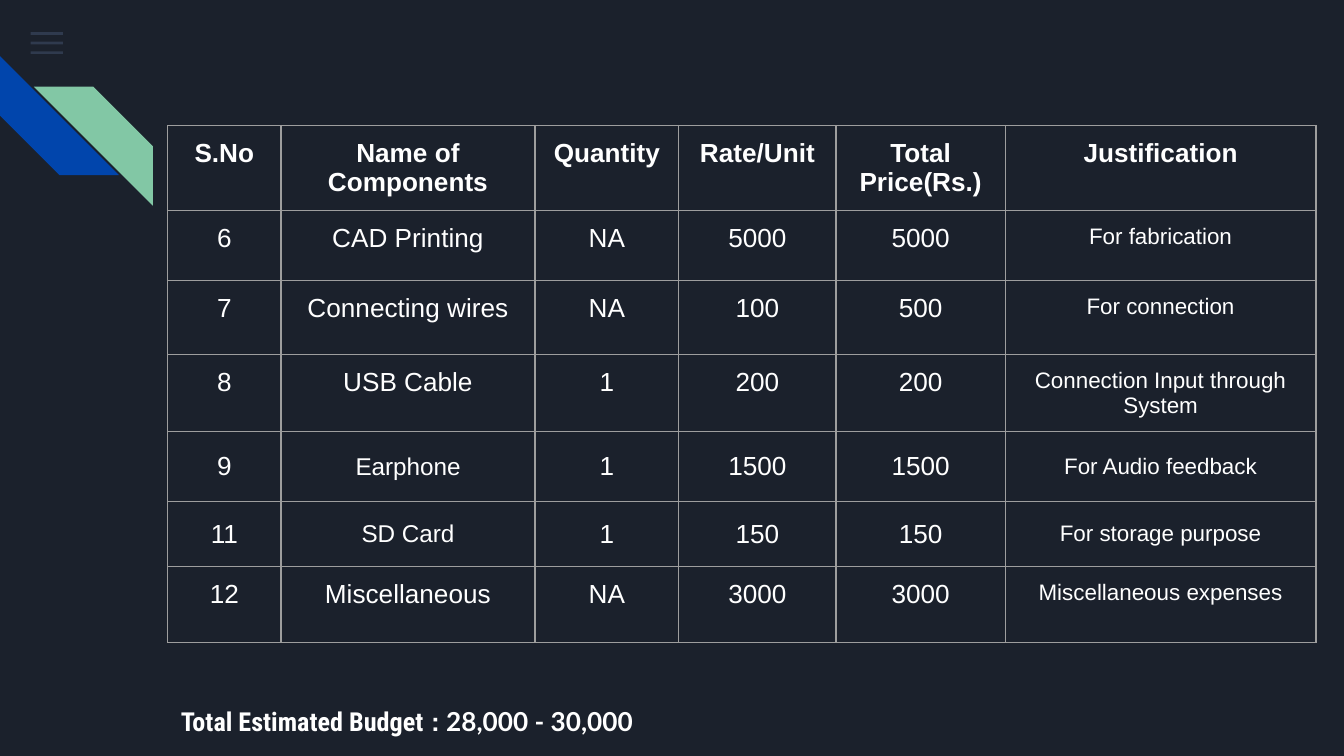
import pptx
import pptx.dml.color
import pptx.enum.shapes
import pptx.enum.text
import pptx.oxml
import pptx.oxml.ns
import pptx.util

Cm = pptx.util.Cm
Pt = pptx.util.Pt
Shape = pptx.enum.shapes.MSO_SHAPE
Align = pptx.enum.text.PP_ALIGN
Anchor = pptx.enum.text.MSO_ANCHOR

COLORS = {
    "back": "1B212C",
    "menu": "55688B",
    "blue": "0145AC",
    "green": "82C7A5",
    "grid": "9E9E9E",
    "text": "FFFFFF",
}
HEADS = ["S.No", "Name of Components", "Quantity", "Rate/Unit", "Total Price(Rs.)", "Justification"]
ITEMS = [
    ["6", "CAD Printing", "NA", "5000", "5000", "For fabrication"],
    ["7", "Connecting wires", "NA", "100", "500", "For connection"],
    ["8", "USB Cable", "1", "200", "200", "Connection Input through System"],
    ["9", "Earphone", "1", "1500", "1500", "For Audio feedback"],
    ["11", "SD Card", "1", "150", "150", "For storage purpose"],
    ["12", "Miscellaneous", "NA", "3000", "3000", "Miscellaneous expenses"],
]
WIDTHS = [2.14, 4.8, 2.72, 2.97, 3.2, 5.87]
HEIGHTS = [1.6, 1.32, 1.4, 1.46, 1.32, 1.23, 1.43]
MIDDLE = (4, 5)


def paint(fill, name):
    fill.solid()
    fill.fore_color.rgb = pptx.dml.color.RGBColor.from_string(COLORS[name])


def write(para, text, size=14, font="Arial", bold=False, color="text"):
    run = para.add_run()
    run.text = text
    run.font.size = Pt(size)
    run.font.name = font
    run.font.bold = bold
    paint(run.font.fill, color)


def pad(box):
    box.margin_left = box.margin_right = Cm(0.25)
    box.margin_top = box.margin_bottom = Cm(0.25)


def edge(cell):
    props = cell._tc.get_or_add_tcPr()
    space = pptx.oxml.ns.nsdecls("a")
    for spot, side in enumerate(("lnL", "lnR", "lnT", "lnB")):
        line = pptx.oxml.parse_xml(
            f'<a:{side} {space} w="{Pt(0.75)}"><a:solidFill>'
            f'<a:srgbClr val="{COLORS["grid"]}"/></a:solidFill></a:{side}>'
        )
        props.insert(spot, line)


class Deck:
    def __init__(self):
        self.file = pptx.Presentation()
        self.file.slide_width = Cm(25.4)
        self.file.slide_height = Cm(14.29)
        self.slide = self.file.slides.add_slide(self.file.slide_layouts[6])
        paint(self.slide.background.fill, "back")

    def shape(self, kind, left, top, width, height, color, turn=0, alpha=None):
        form = self.slide.shapes.add_shape(kind, Cm(left), Cm(top), Cm(width), Cm(height))
        form.shadow.inherit = False
        form.line.fill.background()
        form.rotation = turn
        paint(form.fill, color)
        if alpha:
            tint = form.fill._xPr.find(".//" + pptx.oxml.ns.qn("a:srgbClr"))
            tint.append(pptx.oxml.parse_xml(
                f'<a:alpha {pptx.oxml.ns.nsdecls("a")} val="{alpha * 1000}"/>'
            ))

    def table(self, left, top, rows):
        frame = self.slide.shapes.add_table(
            len(rows), len(WIDTHS), Cm(left), Cm(top), Cm(sum(WIDTHS)), Cm(sum(HEIGHTS))
        )
        grid = frame.table
        grid.first_row = grid.horz_banding = False
        for col, width in zip(grid.columns, WIDTHS):
            col.width = Cm(width)
        for row, height in zip(grid.rows, HEIGHTS):
            row.height = Cm(height)
        for r, row in enumerate(rows):
            for c, text in enumerate(row):
                cell = grid.cell(r, c)
                cell.fill.background()
                cell.vertical_anchor = Anchor.MIDDLE if r in MIDDLE else Anchor.TOP
                pad(cell)
                edge(cell)
                size = 14
                if r and c == 5:
                    size = 12
                elif r in MIDDLE and c == 1:
                    size = 13
                para = cell.text_frame.paragraphs[0]
                para.alignment = Align.CENTER
                write(para, text, size=size, bold=r == 0)

    def label(self, left, top, width, height, parts):
        box = self.slide.shapes.add_textbox(Cm(left), Cm(top), Cm(width), Cm(height))
        frame = box.text_frame
        frame.word_wrap = True
        pad(frame)
        for text, font in parts:
            write(frame.paragraphs[0], text, font=font, bold=True)


def main():
    deck = Deck()
    for i in range(3):
        deck.shape(Shape.RECTANGLE, 0.58, 0.61 + 0.18 * i, 0.61, 0.05, "menu", alpha=36)
    deck.shape(Shape.DIAGONAL_STRIPE, 0, 1.06, 2.25, 2.25, "blue", turn=270)
    deck.shape(Shape.DIAGONAL_STRIPE, 0.64, 1.64, 2.25, 2.25, "green", turn=90)
    deck.table(3.17, 2.37, [HEADS] + ITEMS)
    deck.label(3.17, 13.08, 9.68, 0.91, [
        ("Total Estimated Budget", "Roboto Condensed"),
        (" :", "Arial"),
        (" 28,000 - 30,000", "Lato"),
    ])
    deck.file.save("out.pptx")


if __name__ == "__main__":
    main()
